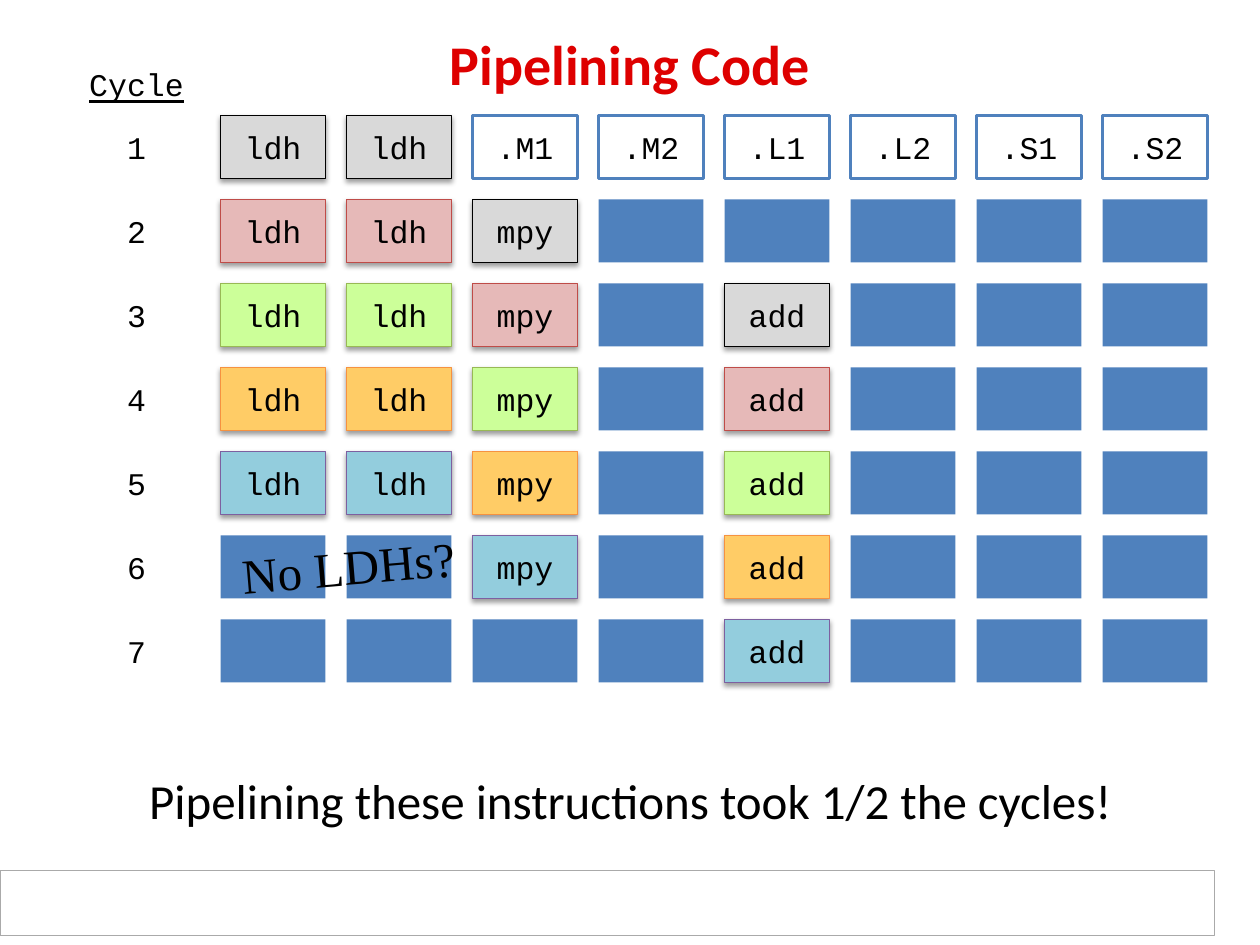
from lxml import etree
from pptx import Presentation
from pptx.dml.color import RGBColor
from pptx.enum import shapes, text
from pptx.oxml import ns
from pptx.util import Pt

COLORS = {
    "title": "DE0000",
    "ink": "000000",
    "paper": "FFFFFF",
    "idle": "4F81BD",
    "footer": "AAAAAA",
}
ITERATIONS = [
    ("D9D9D9", "000000"),
    ("E6B9B8", "BF4C48"),
    ("CCFF99", "98B955"),
    ("FFCC66", "F69240"),
    ("93CDDD", "7D60A0"),
]
STAGES = [("ldh", 0, 0), ("ldh", 1, 0), ("mpy", 2, 1), ("add", 4, 2)]
UNITS = {2: ".M1", 3: ".M2", 4: ".L1", 5: ".L2", 6: ".S1", 7: ".S2"}
CYCLES, COLUMNS = 7, 8
GRID_LEFT, GRID_TOP, COLUMN_STEP, ROW_STEP = 126, 66, 72, 48
CELL_WIDTH, CELL_HEIGHT = 60, 36
CYCLE_LEFT = 48


def rgb(value):
    return RGBColor.from_string(value)


def write(shape, words, size, font, color=COLORS["ink"], align=text.PP_ALIGN.CENTER):
    para = shape.text_frame.paragraphs[0]
    para.text = words
    para.alignment = align
    para.font.size = Pt(size)
    para.font.name = font
    para.font.color.rgb = rgb(color)
    return para


def write_code(shape, words):
    frame = shape.text_frame
    frame.word_wrap = False
    frame.margin_left = frame.margin_right = Pt(0)
    frame.vertical_anchor = text.MSO_ANCHOR.MIDDLE
    return write(shape, words, 18, "Courier New")


def add_box(page, left, top, width, height, fill, line=None, weight=0.75):
    box = page.shapes.add_shape(
        shapes.MSO_SHAPE.RECTANGLE, Pt(left), Pt(top), Pt(width), Pt(height))
    box.shadow.inherit = False
    box.fill.solid()
    box.fill.fore_color.rgb = rgb(fill)
    if line:
        box.line.color.rgb = rgb(line)
        box.line.width = Pt(weight)
    else:
        box.line.fill.background()
    return box


def add_cell(page, column, row, fill, line=None, weight=0.75):
    return add_box(page, GRID_LEFT + column * COLUMN_STEP, GRID_TOP + row * ROW_STEP,
                   CELL_WIDTH, CELL_HEIGHT, fill, line, weight)


def add_shadow(box):
    effects = box._element.spPr.find(ns.qn("a:effectLst"))
    shadow = etree.SubElement(
        effects, ns.qn("a:outerShdw"), blurRad=str(Pt(3.1)), dist=str(Pt(1.6)),
        dir="5400000", rotWithShape="0")
    color = etree.SubElement(shadow, ns.qn("a:srgbClr"), val=COLORS["ink"])
    etree.SubElement(color, ns.qn("a:alpha"), val="38000")


def add_label(page, words, top):
    box = page.shapes.add_textbox(Pt(CYCLE_LEFT), Pt(top), Pt(CELL_WIDTH), Pt(CELL_HEIGHT))
    return write_code(box, words)


def add_remark(page, words, left, top, width, height, font, align):
    box = page.shapes.add_textbox(Pt(left), Pt(top), Pt(width), Pt(height))
    box.text_frame.word_wrap = False
    box.text_frame.auto_size = text.MSO_AUTO_SIZE.SHAPE_TO_FIT_TEXT
    write(box, words, 28, font, align=align)
    return box


def add_title(page, words):
    title = page.shapes.title
    title.left, title.top, title.width, title.height = Pt(36), Pt(6), Pt(648), Pt(60)
    title.text_frame.vertical_anchor = text.MSO_ANCHOR.MIDDLE
    write(title, words, 32, "Calibri", COLORS["title"]).font.bold = True


def add_pipeline(page):
    instructions = {
        (column, number + delay): (words, *colors)
        for number, colors in enumerate(ITERATIONS)
        for words, column, delay in STAGES
    }
    add_label(page, "Cycle", GRID_TOP - CELL_HEIGHT).font.underline = True
    for row in range(CYCLES):
        add_label(page, str(row + 1), GRID_TOP + row * ROW_STEP)
        for column in range(COLUMNS):
            if (column, row) in instructions:
                words, fill, line = instructions[column, row]
                box = add_cell(page, column, row, fill, line)
                add_shadow(box)
                write_code(box, words)
            elif row == 0:
                box = add_cell(page, column, row, COLORS["paper"], COLORS["idle"], 2)
                write_code(box, UNITS[column])
            else:
                add_cell(page, column, row, COLORS["idle"])


def main():
    deck = Presentation()
    deck.slide_width, deck.slide_height = Pt(720), Pt(540)
    page = deck.slides.add_slide(deck.slide_layouts[5])
    add_box(page, 0, 497.5, 694, 37, COLORS["paper"], COLORS["footer"])
    add_title(page, "Pipelining Code")
    add_pipeline(page)
    question = add_remark(page, "No LDHs?", 131, 303, 137.5, 41,
                          "Times New Roman", text.PP_ALIGN.LEFT)
    question.rotation = 355.2
    add_remark(page, "Pipelining these instructions took 1/2 the cycles!",
               28, 437, 664.5, 34, "Calibri", text.PP_ALIGN.CENTER)
    deck.save("out.pptx")


if __name__ == "__main__":
    main()
